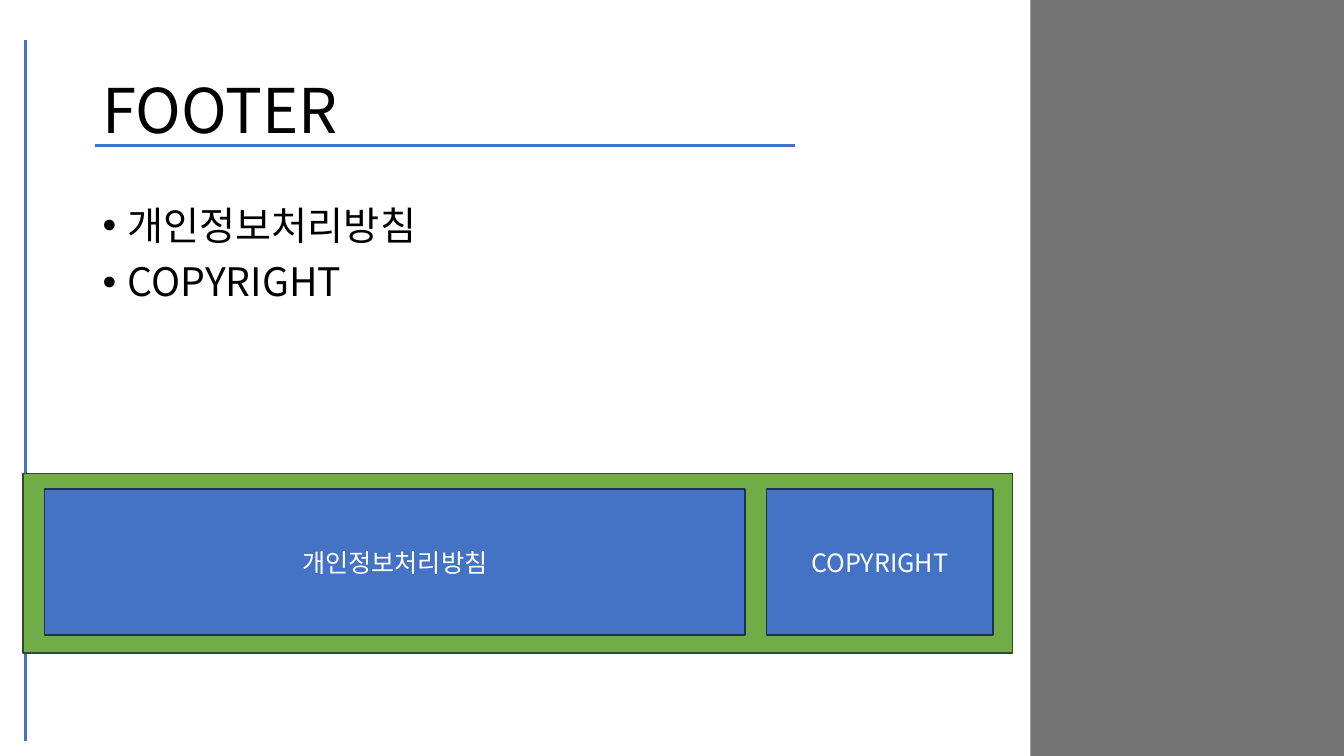
from lxml import etree
from pptx import Presentation
from pptx.dml.color import RGBColor
from pptx.enum.shapes import MSO_CONNECTOR, MSO_SHAPE
from pptx.enum.text import MSO_ANCHOR, PP_ALIGN
from pptx.oxml.ns import qn
from pptx.util import Pt

PX = 9144  # 100 px to the inch
FONT = "Noto Sans CJK KR"
RECT = MSO_SHAPE.RECTANGLE
LINE = MSO_CONNECTOR.STRAIGHT
MIDDLE = MSO_ANCHOR.MIDDLE
TOP = MSO_ANCHOR.TOP
CENTER = PP_ALIGN.CENTER

BLACK = RGBColor(0x00, 0x00, 0x00)
WHITE = RGBColor(0xFF, 0xFF, 0xFF)
GRAY = RGBColor(0x73, 0x73, 0x73)
BLUE = RGBColor(0x44, 0x72, 0xC4)
NAVY = RGBColor(0x1E, 0x32, 0x56)
GREEN = RGBColor(0x70, 0xAD, 0x47)
FOREST = RGBColor(0x31, 0x4C, 0x1F)

PRIVACY = "개인정보처리방침"
RIGHTS = "COPYRIGHT"

deck = Presentation()
deck.slide_width, deck.slide_height = 1333 * PX, 750 * PX
slide = deck.slides.add_slide(deck.slide_layouts[6])
shapes = slide.shapes


def add_rect(box, fill, edge=None):
    rect = shapes.add_shape(RECT, *[n * PX for n in box])
    rect.shadow.inherit = False
    rect.fill.solid()
    rect.fill.fore_color.rgb = fill
    if edge is None:
        rect.line.fill.background()
    else:
        rect.line.color.rgb = edge
        rect.line.width = Pt(1)
    return rect


def set_text(shape, lines, size, color, anchor):
    frame = shape.text_frame
    frame.word_wrap = True
    frame.vertical_anchor = anchor
    frame.text = "\n".join(lines)
    for para in frame.paragraphs:
        for run in para.runs:
            run.font.size = Pt(size)
            run.font.color.rgb = color
            run.font.name = FONT
            # Korean letters take the East Asian font
            east = etree.SubElement(run.font._element, qn("a:ea"))
            east.set("typeface", FONT)
    return frame.paragraphs


# Gray side panel
add_rect((1022, 0, 311, 750), GRAY)

# Blue rules: left margin and under the title
for ends in ((25, 40, 25, 735), (789, 144, 94, 144)):
    rule = shapes.add_connector(LINE, *[n * PX for n in ends])
    rule.line.color.rgb = BLUE
    rule.line.width = Pt(2.25)
    etree.SubElement(rule._element.spPr, qn("a:effectLst"))

# Footer band
add_rect((23, 470, 981, 178), GREEN, FOREST)

# Title
title = shapes.add_textbox(92 * PX, 40 * PX, 1150 * PX, 145 * PX)
set_text(title, ["FOOTER"], 44, BLACK, MIDDLE)[0].line_spacing = 0.9

# Bullet list
body = shapes.add_textbox(92 * PX, 200 * PX, 912 * PX, 476 * PX)
for i, para in enumerate(set_text(body, [PRIVACY, RIGHTS], 28, BLACK, TOP)):
    props = para._p.get_or_add_pPr()
    props.set("marL", str(25 * PX))
    props.set("indent", str(-25 * PX))
    etree.SubElement(props, qn("a:buFont")).set("typeface", "Arial")
    etree.SubElement(props, qn("a:buChar")).set("char", "•")
    para.line_spacing = 0.9
    if i:
        para.space_before = Pt(10)

# Footer cells
for left, width, label in ((44, 695, PRIVACY), (760, 225, RIGHTS)):
    cell = add_rect((left, 485, width, 145), BLUE, NAVY)
    set_text(cell, [label], 18, WHITE, MIDDLE)[0].alignment = CENTER

deck.save("out.pptx")
